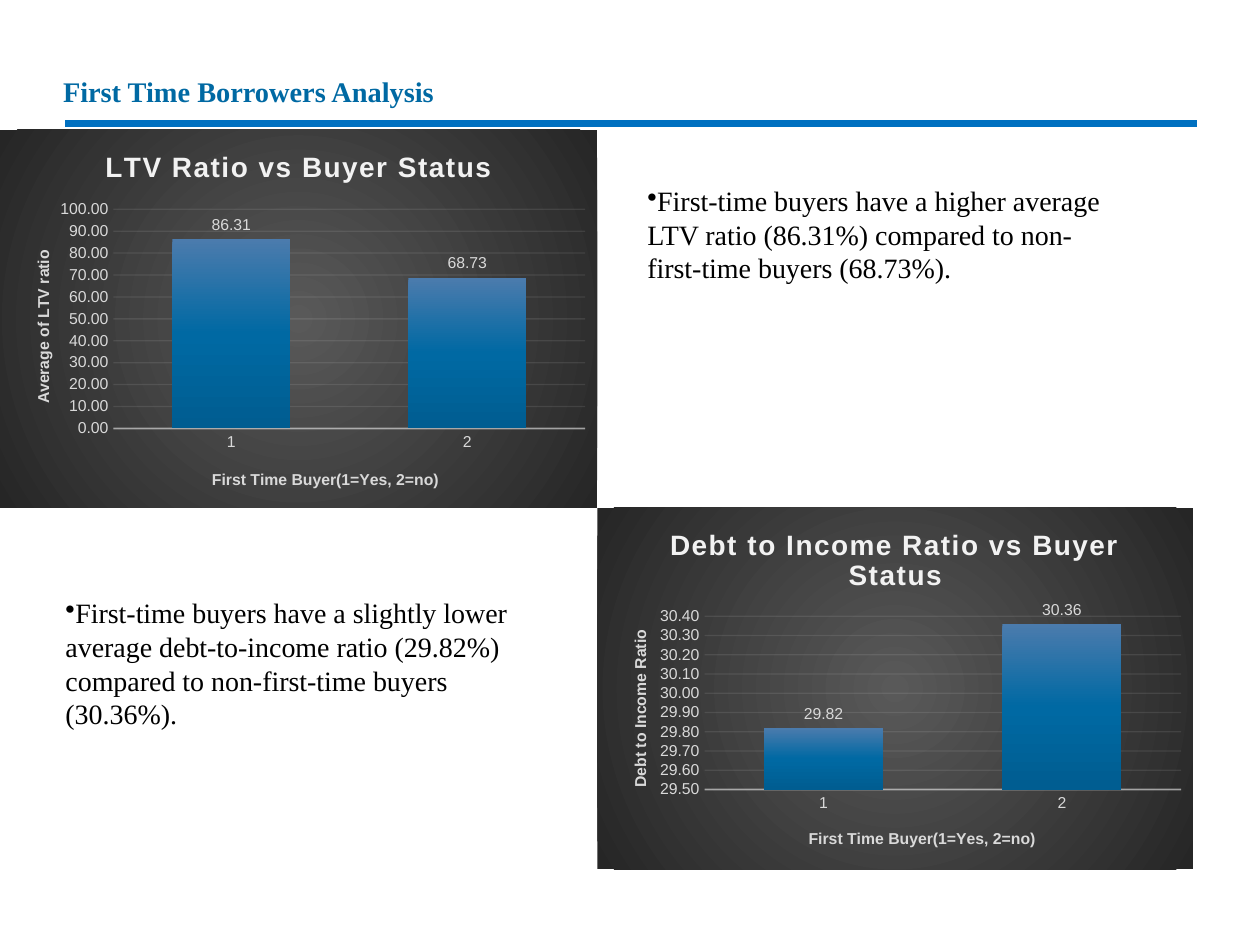
from dataclasses import dataclass

from lxml.etree import SubElement
from pptx import Presentation
from pptx.chart.data import CategoryChartData
from pptx.dml.color import RGBColor
from pptx.enum.chart import XL_CHART_TYPE, XL_LABEL_POSITION, XL_TICK_MARK
from pptx.enum.shapes import MSO_CONNECTOR
from pptx.enum.text import MSO_ANCHOR, MSO_AUTO_SIZE, PP_ALIGN
from pptx.oxml import parse_xml
from pptx.oxml.ns import nsdecls, qn
from pptx.util import Cm, Pt

BLACK = RGBColor(0x00, 0x00, 0x00)
TITLE_BLUE = RGBColor(0x00, 0x69, 0xA3)
RULE_BLUE = RGBColor(0x00, 0x70, 0xC0)
LIGHT = RGBColor(0xF2, 0xF2, 0xF2)
LABEL_GRAY = RGBColor(0xD9, 0xD9, 0xD9)
BAR_STOPS = [
    (0, RGBColor(0x4B, 0x7B, 0xAD)),
    (50, TITLE_BLUE),
    (100, RGBColor(0x00, 0x5D, 0x91)),
]
PANEL_STOPS = [
    (0, RGBColor(0x59, 0x59, 0x59)),
    (100, RGBColor(0x26, 0x26, 0x26)),
]
LINEAR = '<a:lin ang="5400000" scaled="0"/>'
RADIAL = (
    '<a:path path="circle">'
    '<a:fillToRect l="50000" t="50000" r="50000" b="50000"/></a:path>'
)
SERIF = "Times New Roman"
SANS = "Arial"


@dataclass
class Box:
    left: float
    top: float
    width: float
    height: float

    def cm(self):
        return Cm(self.left), Cm(self.top), Cm(self.width), Cm(self.height)


@dataclass
class RatioChart:
    box: Box
    title: str
    value_title: str
    values: tuple
    low: float
    high: float
    step: float
    plot: dict
    category_title_at: dict
    value_title_at: dict


@dataclass
class Finding:
    box: Box
    text: str


CHARTS = [
    RatioChart(
        Box(12.04, 10.24, 12.01, 7.28),
        "Debt to Income Ratio vs Buyer Status", "Debt to Income Ratio",
        (29.82, 30.36), 29.5, 30.4, 0.1,
        dict(x=0.18, y=0.3, w=0.8, h=0.48),
        dict(x=0.35, y=0.88), dict(x=0.05, y=0.33),
    ),
    RatioChart(
        Box(0, 2.62, 12.04, 7.62),
        "LTV Ratio vs Buyer Status", "Average of LTV ratio",
        (86.31, 68.73), 0, 100, 10,
        dict(x=0.19, y=0.21, w=0.79, h=0.58),
        dict(x=0.35, y=0.89), dict(x=0.05, y=0.31),
    ),
]
FINDINGS = [
    Finding(
        Box(1.07, 11.89, 10.21, 3),
        "First-time buyers have a slightly lower average debt-to-income ratio "
        "(29.82%) compared to non-first-time buyers (30.36%).",
    ),
    Finding(
        Box(12.8, 3.58, 9.86, 2.31),
        "First-time buyers have a higher average LTV ratio (86.31%) "
        "compared to non-first-time buyers (68.73%).",
    ),
]


def style(font, size: float, color: RGBColor, name: str, bold: bool = False) -> None:
    font.size, font.name, font.bold = Pt(size), name, bold
    font.color.rgb = color


def gradient_sp_pr(stops: list, direction: str):
    gs = "".join(
        f'<a:gs pos="{pos * 1000}"><a:srgbClr val="{color}"/></a:gs>'
        for pos, color in stops
    )
    return parse_xml(
        f'<c:spPr {nsdecls("c", "a")}><a:gradFill rotWithShape="1">'
        f"<a:gsLst>{gs}</a:gsLst>{direction}</a:gradFill>"
        "<a:ln><a:noFill/></a:ln></c:spPr>"
    )


def set_layout(parent, position: dict, inner: bool = False) -> None:
    for old in parent.findall(qn("c:layout")):
        parent.remove(old)
    layout = parse_xml(f'<c:layout {nsdecls("c")}><c:manualLayout/></c:layout>')
    settings = {"layoutTarget": "inner"} if inner else {}
    settings |= {"xMode": "edge", "yMode": "edge"} | position
    for tag, val in settings.items():
        SubElement(layout[0], qn(f"c:{tag}")).set("val", str(val))
    tx = parent.find(qn("c:tx"))
    if tx is None:
        parent.insert(0, layout)
    else:
        tx.addnext(layout)


def set_line(line, width: float, opacity: int) -> None:
    line.width = Pt(width)
    line.color.rgb = LIGHT
    color = line.fill._xPr.find(".//" + qn("a:srgbClr"))
    SubElement(color, qn("a:alpha")).set("val", str(opacity * 1000))


def format_axis(axis, title: str, position: dict) -> None:
    axis.major_tick_mark = axis.minor_tick_mark = XL_TICK_MARK.NONE
    style(axis.tick_labels.font, 9, LABEL_GRAY, SANS)
    tf = axis.axis_title.text_frame
    tf.text = title
    style(tf.paragraphs[0].runs[0].font, 9, LABEL_GRAY, SANS, True)
    set_layout(axis.axis_title._element, position)


def add_ratio_chart(s, spec_: RatioChart) -> None:
    data = CategoryChartData(number_format="0.00")
    data.categories = ["1", "2"]
    data.add_series("Series 1", spec_.values)
    chart = s.shapes.add_chart(
        XL_CHART_TYPE.COLUMN_CLUSTERED, *spec_.box.cm(), data
    ).chart
    chart.has_legend = False
    style(chart.font, 10, BLACK, SANS)
    root = chart._chartSpace
    root.find(qn("c:txPr")).addprevious(gradient_sp_pr(PANEL_STOPS, RADIAL))

    tf = chart.chart_title.text_frame
    tf.text = spec_.title
    r = tf.paragraphs[0].runs[0]
    style(r.font, 16, LIGHT, SANS, True)
    r._r.get_or_add_rPr().set("spc", "100")
    chart.chart_title.include_in_layout = False

    cat, val = chart.category_axis, chart.value_axis
    format_axis(cat, "First Time Buyer(1=Yes, 2=no)", spec_.category_title_at)
    set_line(cat.format.line, 1, 54)
    format_axis(val, spec_.value_title, spec_.value_title_at)
    body = val.axis_title.text_frame._txBody.find(qn("a:bodyPr"))
    body.set("rot", "-5400000")
    body.set("vert", "horz")
    val.format.line.fill.background()
    set_line(val.major_gridlines.format.line, 0.75, 10)
    val.minimum_scale, val.maximum_scale = spec_.low, spec_.high
    val.major_unit = spec_.step
    val.tick_labels.number_format = "0.00"
    val.tick_labels.number_format_is_linked = False

    plot = chart.plots[0]
    plot.gap_width, plot.overlap, plot.vary_by_categories = 100, -24, False
    series = plot.series[0]
    series.format.fill.solid()
    bar = series._element
    bar.replace(bar.find(qn("c:spPr")), gradient_sp_pr(BAR_STOPS, LINEAR))
    plot.has_data_labels = True
    labels = plot.data_labels
    labels.show_value = True
    labels.position = XL_LABEL_POSITION.OUTSIDE_END
    labels.number_format, labels.number_format_is_linked = "0.00", False
    style(labels.font, 9, LABEL_GRAY, SANS)
    set_layout(root.find(".//" + qn("c:plotArea")), spec_.plot, inner=True)


def add_finding(s, finding: Finding) -> None:
    tf = s.shapes.add_textbox(*finding.box.cm()).text_frame
    tf.word_wrap = True
    tf.auto_size = MSO_AUTO_SIZE.SHAPE_TO_FIT_TEXT
    p = tf.paragraphs[0]
    p.text = finding.text
    style(p.runs[0].font, 16, BLACK, SERIF)
    SubElement(p._p.get_or_add_pPr(), qn("a:buChar")).set("char", "•")


def add_heading(s) -> None:
    rule = s.shapes.add_connector(
        MSO_CONNECTOR.STRAIGHT, Cm(1.32), Cm(2.49), Cm(24.13), Cm(2.49)
    )
    rule.line.color.rgb, rule.line.width = RULE_BLUE, Pt(4.5)
    SubElement(rule._element.spPr, qn("a:effectLst"))
    sp = s.shapes.title
    sp.left, sp.top, sp.width, sp.height = Box(1.27, 1.5, 22.86, 0.76).cm()
    tf = sp.text_frame
    tf.text = "First Time Borrowers Analysis"
    tf.margin_left = tf.margin_right = 0
    tf.vertical_anchor = MSO_ANCHOR.MIDDLE
    tf.auto_size = MSO_AUTO_SIZE.NONE
    p = tf.paragraphs[0]
    p.alignment, p.line_spacing = PP_ALIGN.LEFT, 0.9
    style(p.runs[0].font, 16.2, TITLE_BLUE, SERIF, True)


def main() -> None:
    prs = Presentation()
    prs.slide_width, prs.slide_height = Cm(25.4), Cm(19.05)
    s = prs.slides.add_slide(prs.slide_layouts[5])
    add_heading(s)
    for ratio_chart in CHARTS:
        add_ratio_chart(s, ratio_chart)
    for finding in FINDINGS:
        add_finding(s, finding)
    prs.save("out.pptx")


if __name__ == "__main__":
    main()
